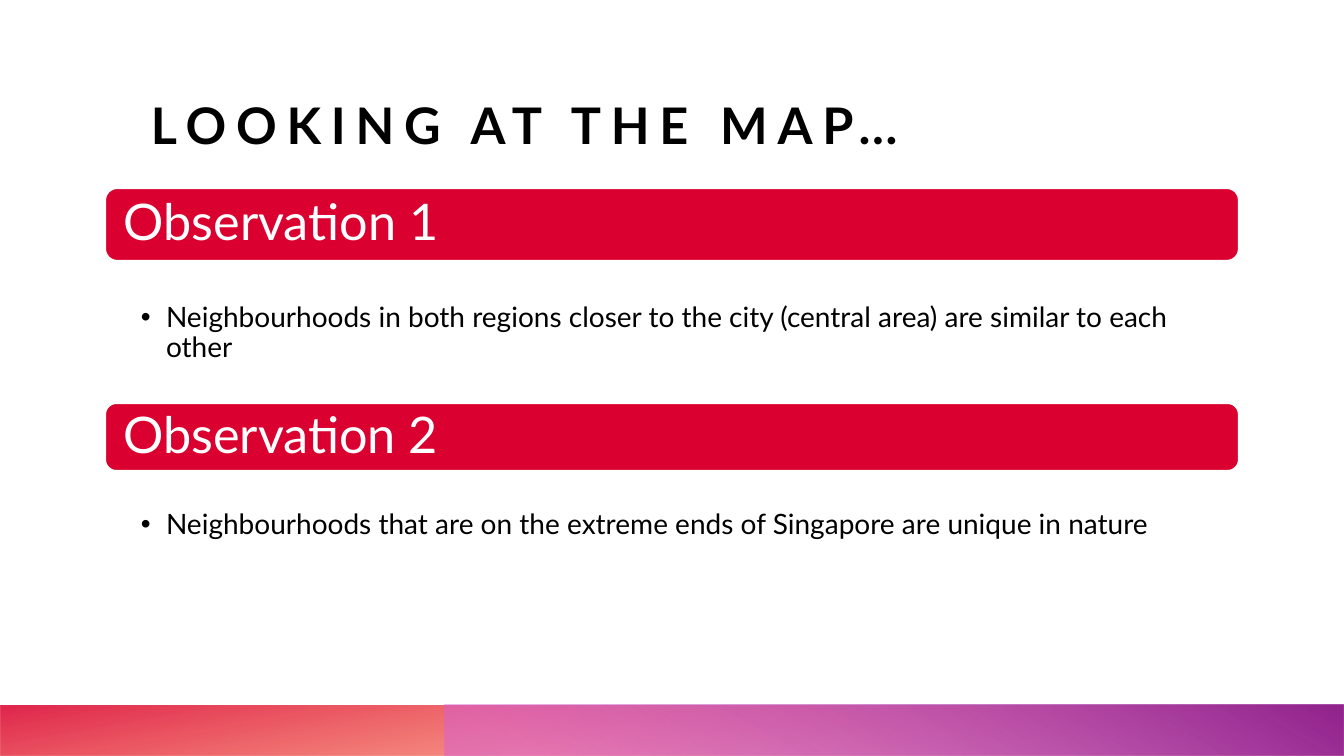
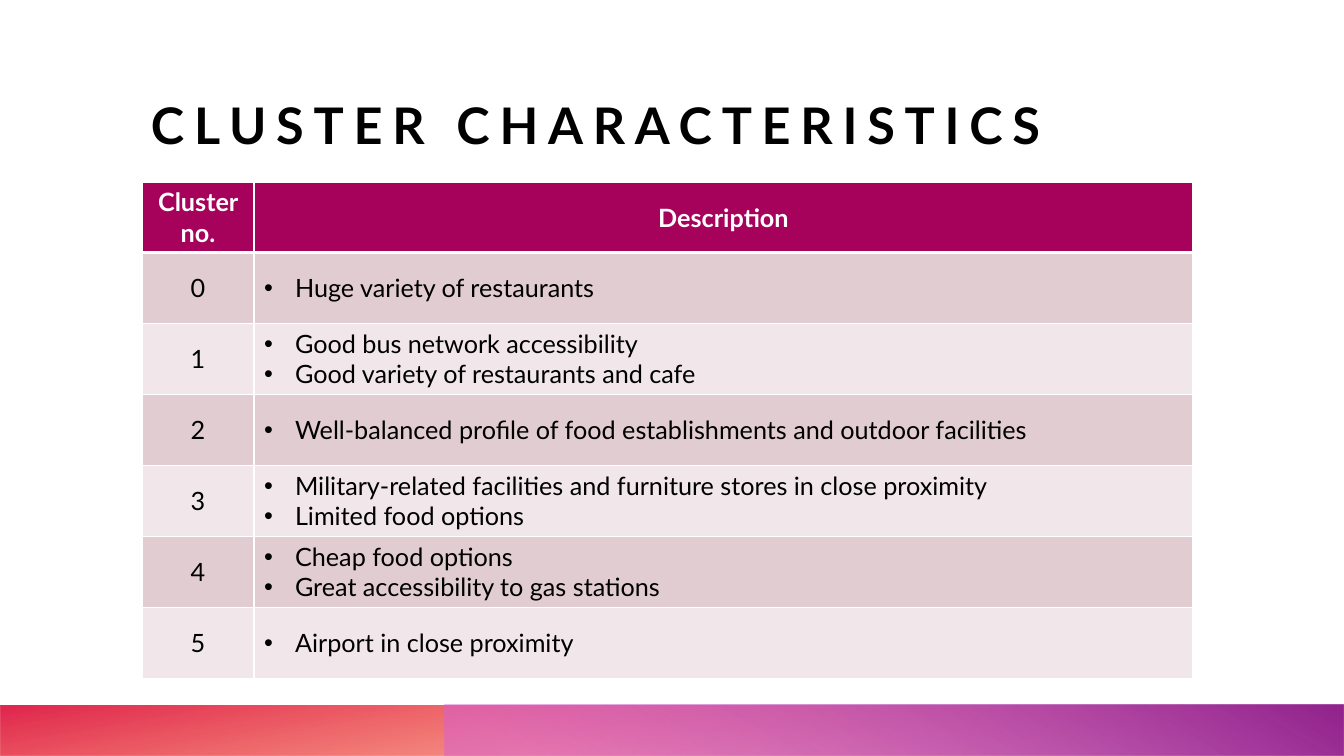
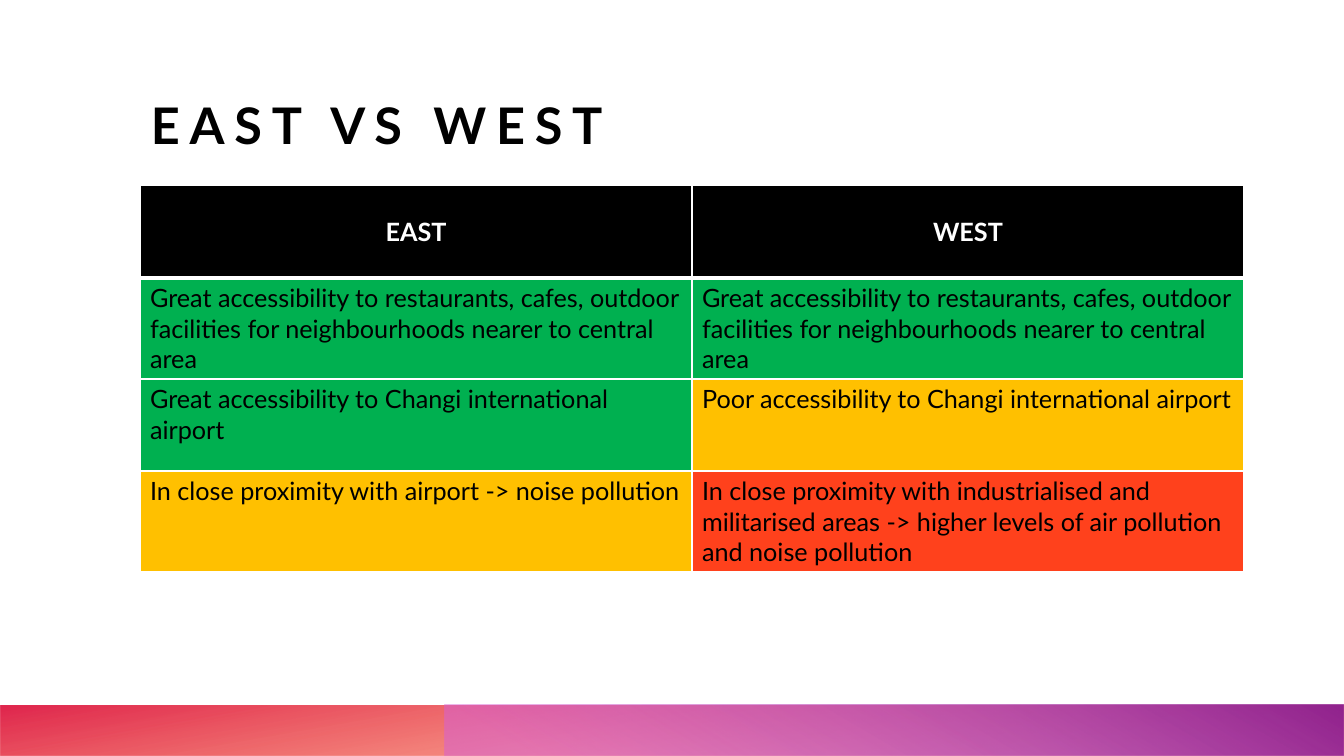
import dataclasses

import lxml.etree
import pptx
import pptx.dml.color
import pptx.enum.shapes
import pptx.enum.text
import pptx.oxml
import pptx.oxml.ns
import pptx.util

PX = 914400 / 100.8  # EMU in one px
ALIGN = pptx.enum.text.PP_ALIGN
ANCHOR = pptx.enum.text.MSO_ANCHOR
SHAPE = pptx.enum.shapes.MSO_SHAPE
qn = pptx.oxml.ns.qn
rgb = pptx.dml.color.RGBColor.from_string


@dataclasses.dataclass(frozen=True)
class Theme:
    font: str = "Lato"
    ink: str = "000000"
    paper: str = "FFFFFF"
    heading: str = "DA002F"
    table_head: str = "A6025C"
    stripes: tuple = ("E1CCD2", "F1E7EA")
    good: str = "00B050"
    fair: str = "FFC000"
    poor: str = "FF411C"
    title_size: int = 36
    body_size: int = 20
    table_size: int = 18
    title_spacing: int = 700
    # left, width, rotation, angle, (position %, colour, opacity %)
    bands: tuple = (
        (0, 1344, 180, 100, ((14, "FE4A00", 28), (100, "DA002F", 85))),
        (445, 899, 0, 240, ((9, "D861D4", 55), (99, "92248E", 100))),
    )


theme = Theme()


def write(paragraph, text, size, color, bold=False, indent=0):
    """Add one styled run; an indent in px makes the paragraph a bullet."""
    run = paragraph.add_run()
    run.text = text
    run.font.name = theme.font
    run.font.size = pptx.util.Pt(size)
    run.font.bold = bold
    run.font.color.rgb = rgb(color)
    if indent:
        props = paragraph._p.get_or_add_pPr()
        props.set("marL", str(round(indent * PX)))
        props.set("indent", str(-round(indent * PX)))
        lxml.etree.SubElement(props, qn("a:buFont")).set("typeface", "Arial")
        lxml.etree.SubElement(props, qn("a:buChar")).set("char", "•")
    return run


def add_grid(slide, left, top, widths, heights, rows):
    """Draw a table; each cell is (lines, fill, centred, bullet indent)."""
    grid = slide.shapes.add_table(
        len(heights), len(widths), round(left * PX), round(top * PX),
        round(sum(widths) * PX), round(sum(heights) * PX)).table
    grid.horz_banding = False
    for column, width in zip(grid.columns, widths):
        column.width = round(width * PX)
    for r, (height, row) in enumerate(zip(heights, rows)):
        grid.rows[r].height = round(height * PX)
        for c, (lines, fill, centred, indent) in enumerate(row):
            cell = grid.cell(r, c)
            for side in "LRTB":
                under_head = (r, side) in ((0, "B"), (1, "T"))
                cell._tc.get_or_add_tcPr().append(pptx.oxml.parse_xml(
                    f'<a:ln{side} {pptx.oxml.ns.nsdecls("a")} w="{38100 if under_head else 12700}">'
                    f'<a:solidFill><a:srgbClr val="{theme.paper}"/></a:solidFill></a:ln{side}>'))
            cell.fill.solid()
            cell.fill.fore_color.rgb = rgb(fill)
            cell.vertical_anchor = ANCHOR.MIDDLE if centred or indent else ANCHOR.TOP
            for i, line in enumerate(lines):
                frame = cell.text_frame
                paragraph = frame.add_paragraph() if i else frame.paragraphs[0]
                paragraph.alignment = ALIGN.CENTER if centred else ALIGN.LEFT
                write(paragraph, line, theme.table_size,
                      theme.ink if r else theme.paper, r == 0, indent)


deck = pptx.Presentation()
deck.slide_width, deck.slide_height = round(1344 * PX), round(756 * PX)

# Shared frame: footer bands and title
slides = []
for title in ("LOOKING AT THE MAP…", "CLUSTER CHARACTERISTICS", "EAST VS WEST"):
    slide = deck.slides.add_slide(deck.slide_layouts[6])
    slides.append(slide)
    for left, width, rotation, angle, stops in theme.bands:
        band = slide.shapes.add_shape(
            SHAPE.RECTANGLE, round(left * PX), round(705 * PX), round(width * PX), round(51 * PX))
        band.shadow.inherit = False
        band.line.fill.background()
        band.rotation = rotation
        band._element.spPr.find(qn("a:xfrm")).set("flipH", "1")
        stop_xml = "".join(
            f'<a:gs pos="{pos * 1000}"><a:srgbClr val="{color}">'
            f'<a:alpha val="{opacity * 1000}"/></a:srgbClr></a:gs>'
            for pos, color, opacity in stops)
        band._element.spPr.find(qn("a:prstGeom")).addnext(pptx.oxml.parse_xml(
            f'<a:gradFill {pptx.oxml.ns.nsdecls("a")} rotWithShape="1"><a:gsLst>{stop_xml}</a:gsLst>'
            f'<a:lin ang="{angle * 60000}" scaled="0"/></a:gradFill>'))
    heading = slide.shapes.add_textbox(
        round(151 * PX), round(88 * PX), round(1129 * PX), round(67 * PX)).text_frame
    heading.word_wrap = True
    heading.vertical_anchor = ANCHOR.BOTTOM
    heading.margin_left = heading.margin_right = heading.margin_top = heading.margin_bottom = 0
    title_run = write(heading.paragraphs[0], title, theme.title_size, theme.ink, True)
    title_run._r.get_or_add_rPr().set("spc", str(theme.title_spacing))

map_slide, cluster_slide, compare_slide = slides

# Slide 1: observations; top, bar height, note height, gap above the note
observations = (
    ("Observation 1", 188, 73, 142, 42,
     "Neighbourhoods in both regions closer to the city (central area) are similar to each other"),
    ("Observation 2", 403, 68, 86, 52,
     "Neighbourhoods that are on the extreme ends of Singapore are unique in nature"),
)
for label, top, bar_height, note_height, gap, note in observations:
    bar = map_slide.shapes.add_shape(
        SHAPE.ROUNDED_RECTANGLE, round(105 * PX), round(top * PX),
        round(1134 * PX), round(bar_height * PX))
    bar.shadow.inherit = False
    bar.fill.solid()
    bar.fill.fore_color.rgb = rgb(theme.heading)
    bar.line.color.rgb = rgb(theme.paper)
    bar.line.width = pptx.util.Pt(1.5)
    caption = bar.text_frame
    caption.vertical_anchor = ANCHOR.MIDDLE
    caption.margin_left = round(15 * PX)
    caption.margin_top = caption.margin_bottom = 0
    caption.paragraphs[0].alignment = ALIGN.LEFT
    caption.paragraphs[0].line_spacing = 0.9
    write(caption.paragraphs[0], label, theme.title_size, theme.paper)

    detail = map_slide.shapes.add_textbox(
        round(105 * PX), round((top + bar_height) * PX),
        round(1134 * PX), round(note_height * PX)).text_frame
    detail.word_wrap = True
    detail.margin_left, detail.margin_right = round(36 * PX), round(16 * PX)
    detail.margin_top, detail.margin_bottom = round(gap * PX), round(3 * PX)
    detail.paragraphs[0].line_spacing = 0.9
    write(detail.paragraphs[0], note, theme.body_size, theme.ink, indent=25)

# Slide 2: clusters, numbered from 0 on alternating stripes
clusters = (
    ("Huge variety of restaurants",),
    ("Good bus network accessibility", "Good variety of restaurants and cafe"),
    ("Well-balanced profile of food establishments and outdoor facilities",),
    ("Military-related facilities and furniture stores in close proximity", "Limited food options"),
    ("Cheap food options", "Great accessibility to gas stations"),
    ("Airport in close proximity",),
)
cluster_rows = [[((name,), theme.table_head, True, 0) for name in ("Cluster no.", "Description")]]
for number, traits in enumerate(clusters):
    stripe = theme.stripes[number % 2]
    cluster_rows.append([((str(number),), stripe, True, 0), (traits, stripe, False, 31)])
add_grid(cluster_slide, 142, 182, (112, 939), [70] + [71] * len(clusters), cluster_rows)

# Slide 3: east against west, coloured by rating
central = "Great accessibility to restaurants, cafes, outdoor facilities for neighbourhoods nearer to central area"
ratings = (
    ((central, theme.good), (central, theme.good)),
    (("Great accessibility to Changi international airport", theme.good),
     ("Poor accessibility to Changi international airport", theme.fair)),
    (("In close proximity with airport -> noise pollution", theme.fair),
     ("In close proximity with industrialised and militarised areas -> higher levels of "
      "air pollution and noise pollution", theme.poor)),
)
compare_rows = [[((side,), theme.ink, True, 0) for side in ("EAST", "WEST")]]
compare_rows += [[((text,), fill, False, 0) for text, fill in pair] for pair in ratings]
add_grid(compare_slide, 140, 185, (552, 552), (93, 101, 92, 101), compare_rows)

deck.save("out.pptx")
